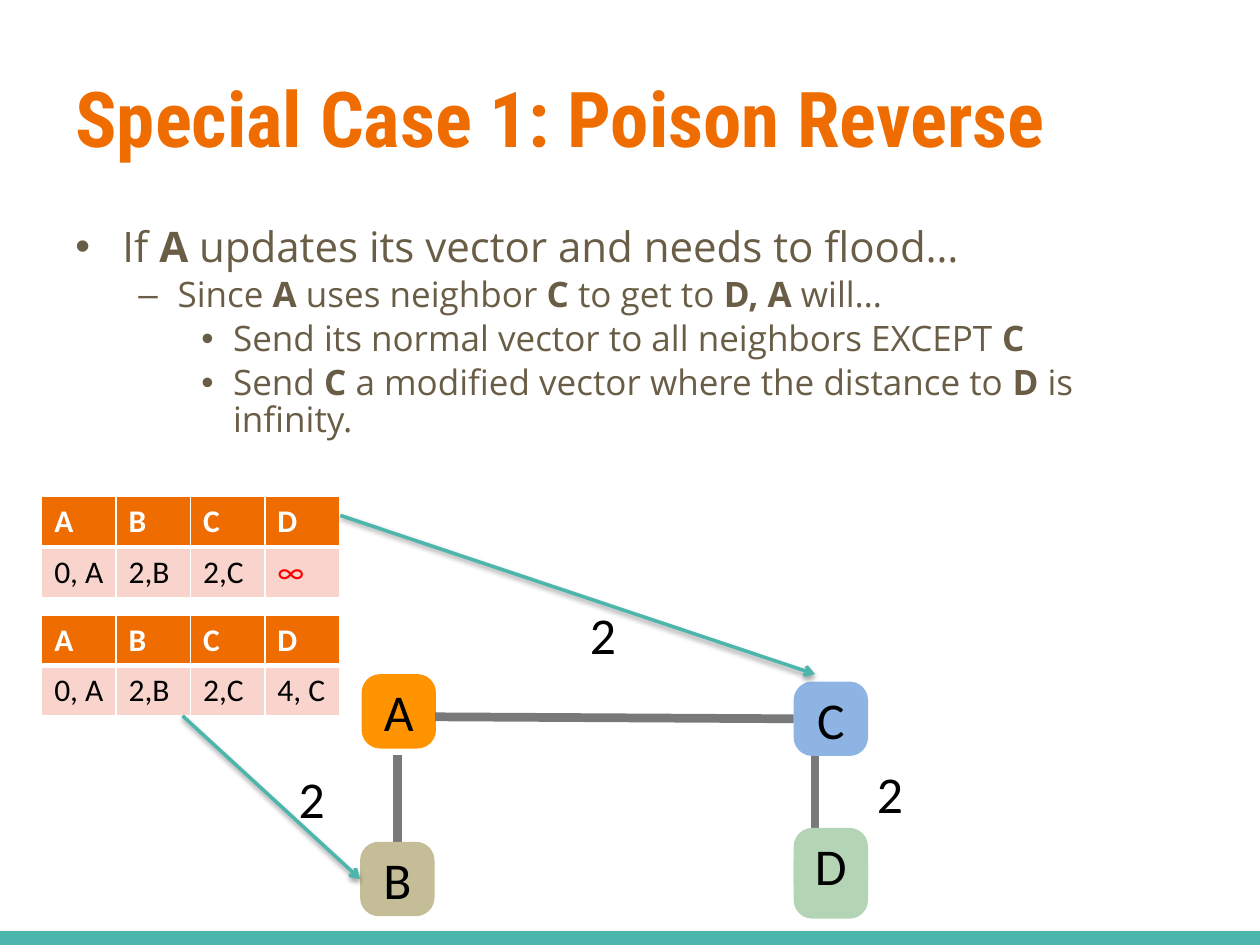
from dataclasses import dataclass

import pptx
import pptx.dml.color
import pptx.enum.shapes
import pptx.enum.text
import pptx.oxml
import pptx.oxml.ns
import pptx.util
from lxml import etree

Cm, Pt = pptx.util.Cm, pptx.util.Pt
RGB = pptx.dml.color.RGBColor.from_string
ALIGN, ANCHOR = pptx.enum.text.PP_ALIGN, pptx.enum.text.MSO_ANCHOR
SHAPE = pptx.enum.shapes.MSO_SHAPE
STRAIGHT = pptx.enum.shapes.MSO_CONNECTOR.STRAIGHT
qn = pptx.oxml.ns.qn
NAMESPACE = pptx.oxml.ns.nsdecls("a")


@dataclass(frozen=True)
class Theme:
    orange: str = "EF6C00"
    teal: str = "4DB6AC"
    brown: str = "695D46"
    grey: str = "797979"
    pink: str = "F9D4CC"
    white: str = "FFFFFF"
    black: str = "000000"
    red: str = "FF0000"
    node_a: str = "FF9300"
    node_b: str = "C4BD97"
    node_c: str = "8EB4E3"
    node_d: str = "B3D5B5"
    title_font: str = "Roboto Condensed"
    body_font: str = "Open Sans"
    diagram_font: str = "Calibri"
    title_size: float = 44
    body_sizes: tuple = (24, 20, 20)
    node_size: float = 29.5
    table_size: float = 18


theme = Theme()


def style_text(para, text, font, size, color, bold=False):
    para.text = text
    para.font.name, para.font.size, para.font.bold = font, Pt(size), bold
    para.font.color.rgb = RGB(color)


def add_line(start, end, color, width, arrow=False, shadow=False):
    line = page.shapes.add_connector(STRAIGHT, *(Cm(n) for n in start + end))
    line.line.color.rgb = RGB(color)
    line.line.width = Pt(width)
    if arrow:
        etree.SubElement(line.line._get_or_add_ln(), qn("a:tailEnd"), type="arrow")
    effects = etree.SubElement(line._element.spPr, qn("a:effectLst"))
    if shadow:
        effects.append(pptx.oxml.parse_xml(
            f'<a:outerShdw {NAMESPACE} blurRad="{Pt(3.1)}" dist="{Pt(1.6)}" dir="5400000" '
            f'rotWithShape="0"><a:srgbClr val="{theme.black}"><a:alpha val="38000"/>'
            '</a:srgbClr></a:outerShdw>'))
    return line


deck = pptx.Presentation()
deck.slide_width, deck.slide_height = Cm(25.4), Cm(19.05)
page = deck.slides.add_slide(deck.slide_layouts[6])

# Bottom stripe
add_line((0, 18.95), (25.4, 18.95), theme.teal, 10, shadow=True)

# Title
box = page.shapes.add_textbox(Cm(1.27), Cm(0.76), Cm(22.86), Cm(3.18))
box.text_frame.word_wrap = True
box.text_frame.vertical_anchor = ANCHOR.MIDDLE
style_text(box.text_frame.paragraphs[0], "Special Case 1: Poison Reverse",
           theme.title_font, theme.title_size, theme.orange, True)

# Bullets: level, then spans that alternate between regular and bold
bullets = [
    (0, ["If ", "A", " updates its vector and needs to flood…"]),
    (1, ["Since ", "A ", "uses neighbor ", "C", " to get to ", "D, A ", "will…"]),
    (2, ["Send its normal vector to all neighbors EXCEPT ", "C"]),
    (2, ["Send ", "C", " a modified vector where the distance to ", "D ", "is infinity."]),
]
levels = [("•", 0.95, 0.95), ("–", 2.06, 0.79), ("•", 3.18, 0.64)]  # mark, margin, hanging
box = page.shapes.add_textbox(Cm(1.27), Cm(4.45), Cm(22.86), Cm(12.57))
frame = box.text_frame
frame.word_wrap = True
for index, (level, spans) in enumerate(bullets):
    para = frame.add_paragraph() if index else frame.paragraphs[0]
    mark, margin, hanging = levels[level]
    size = theme.body_sizes[level]
    para.level = level
    para.line_spacing = 0.88
    para.space_before = Pt(size * 0.2)
    properties = para._p.get_or_add_pPr()
    properties.set("marL", str(Cm(margin)))
    properties.set("indent", str(-Cm(hanging)))
    etree.SubElement(properties, qn("a:buFont"), typeface="Arial")
    etree.SubElement(properties, qn("a:buChar"), char=mark)
    style_text(para, "", theme.body_font, size, theme.brown)
    for position, text in enumerate(spans):
        span = para.add_run()
        span.text = text
        span.font.bold = position % 2 == 1

# Vertical links, which run under the nodes
link_ab = add_line((8.01, 15.21), (8.01, 16.97), theme.grey, 5)
add_line((16.43, 15.21), (16.43, 16.97), theme.grey, 5)

# Network nodes; D stands on a second tile
nodes = {}
for name, left, top, color in [
    ("A", 7.29, 13.59, theme.node_a),
    ("C", 16, 13.74, theme.node_c),
    ("B", 7.26, 16.97, theme.node_b),
    ("", 16, 17.02, theme.node_d),
    ("D", 16, 16.69, theme.node_d),
]:
    node = page.shapes.add_shape(SHAPE.ROUNDED_RECTANGLE, Cm(left), Cm(top), Cm(1.5), Cm(1.5))
    node.adjustments[0] = 0.25
    node.shadow.inherit = False
    node.fill.solid()
    node.fill.fore_color.rgb = RGB(color)
    node.line.fill.background()
    if name:
        frame = node.text_frame
        frame.margin_left = frame.margin_right = frame.margin_top = frame.margin_bottom = 0
        frame.vertical_anchor = ANCHOR.MIDDLE
        frame.paragraphs[0].alignment = ALIGN.CENTER
        style_text(frame.paragraphs[0], name, theme.diagram_font, theme.node_size, theme.black)
    nodes[name] = node

link_ab.end_connect(nodes["B"], 0)
link_ac = add_line((8.77, 14.45), (16, 14.49), theme.grey, 5)
link_ac.end_connect(nodes["C"], 1)

# Link costs
for left, top in [(5.92, 15.34), (11.79, 12.04), (17.58, 15.24)]:
    box = page.shapes.add_textbox(Cm(left), Cm(top), Cm(1.19), Cm(1.47))
    frame = box.text_frame
    frame.word_wrap = True
    frame.margin_left = frame.margin_right = frame.margin_top = frame.margin_bottom = Cm(0.1)
    frame.vertical_anchor = ANCHOR.MIDDLE
    style_text(frame.paragraphs[0], "2", theme.diagram_font, theme.node_size, theme.black)

# Distance vectors: the poisoned one for C, the normal one for B
for top, last in [(10.01, "∞"), (12.4, "4, C")]:
    rows = [["A", "B", "C", "D"], ["0, A", "2,B", "2,C", last]]
    table = page.shapes.add_table(2, 4, Cm(0.84), Cm(top), Cm(6.02), Cm(2.02)).table
    for column in table.columns:
        column.width = Cm(1.5)
    for row, texts in enumerate(rows):
        header = row == 0
        for column, text in enumerate(texts):
            cell = table.cell(row, column)
            cell.margin_right = Cm(0.1)
            for side in "LRTB":
                thick = (header and side == "B") or (not header and side == "T")
                cell._tc.get_or_add_tcPr().append(pptx.oxml.parse_xml(
                    f'<a:ln{side} {NAMESPACE} w="{Pt(3 if thick else 1)}"><a:solidFill>'
                    f'<a:srgbClr val="{theme.white}"/></a:solidFill></a:ln{side}>'))
            cell.fill.solid()
            cell.fill.fore_color.rgb = RGB(theme.orange if header else theme.pink)
            color = theme.white if header else theme.red if text == "∞" else theme.black
            style_text(cell.text_frame.paragraphs[0], text, theme.diagram_font,
                       theme.table_size, color, header)

# Arrows from each vector to the neighbor that receives it
add_line((6.86, 10.39), (16.43, 13.59), theme.teal, 2, arrow=True, shadow=True)
arrow_b = add_line((3.68, 14.43), (7.26, 17.72), theme.teal, 2, arrow=True, shadow=True)
arrow_b.end_connect(nodes["B"], 1)

deck.save("out.pptx")
